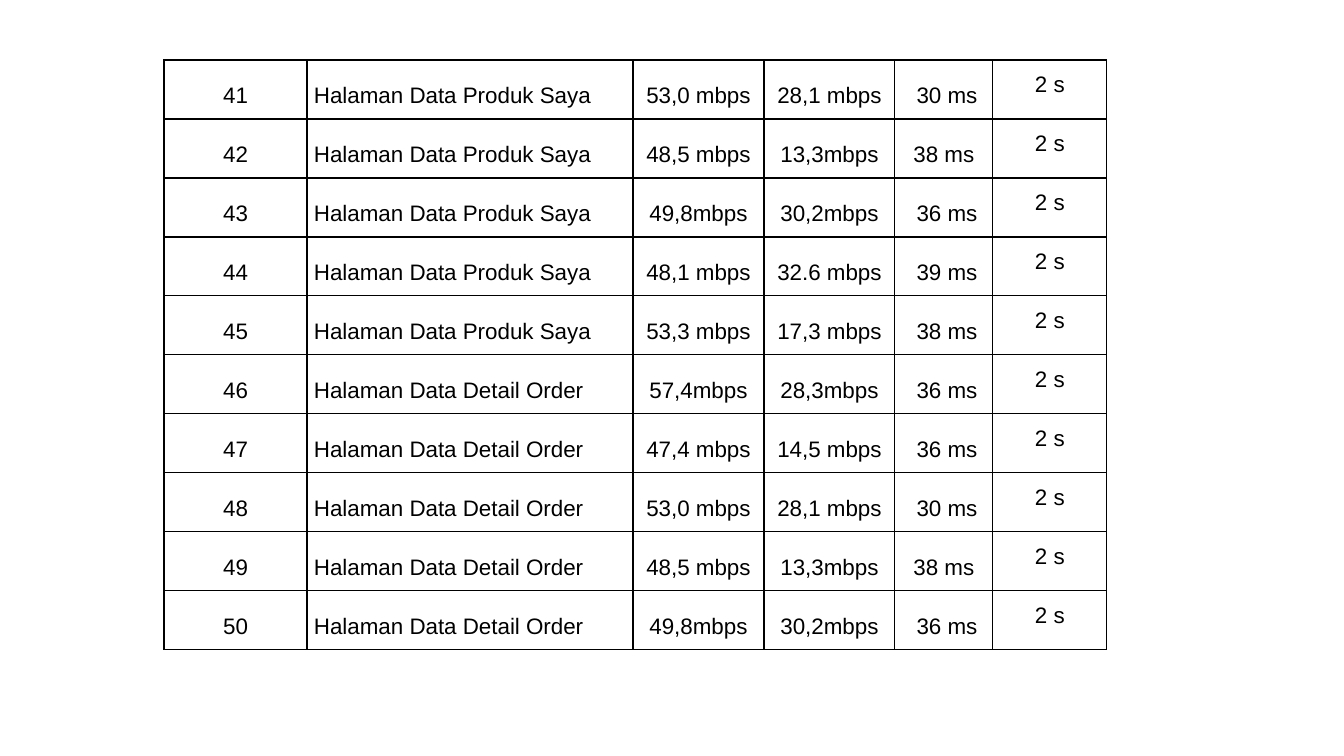
from dataclasses import dataclass

from lxml import etree
from pptx import Presentation
from pptx.dml.color import RGBColor
from pptx.enum import text
from pptx.oxml import ns
from pptx.util import Emu, Pt

PX_PER_INCH = 100.8
BLACK = "000000"
BORDER_PT = 1
FIRST_NUMBER = 41
TABLE_LEFT, TABLE_TOP, ROW_HEIGHT = 164, 60, 59
CELL_FORMAT = {"margin_left": 7, "margin_right": 7, "margin_top": 0, "margin_bottom": 0}


@dataclass(frozen=True)
class Column:
    width: int
    align: text.PP_ALIGN = text.PP_ALIGN.CENTER
    anchor: text.MSO_ANCHOR = text.MSO_ANCHOR.MIDDLE


@dataclass(frozen=True)
class SpeedTest:
    page: str
    download: str
    upload: str
    ping: str
    load_time: str = "2 s"


COLUMNS = [
    Column(143),
    Column(326, align=text.PP_ALIGN.LEFT),
    Column(131),
    Column(131),
    Column(98),
    Column(114, anchor=text.MSO_ANCHOR.TOP),
]

PRODUCTS = "Halaman Data Produk Saya"
ORDERS = "Halaman Data Detail Order"
TESTS = [
    SpeedTest(PRODUCTS, "53,0 mbps", "28,1 mbps", " 30 ms"),
    SpeedTest(PRODUCTS, "48,5 mbps", "13,3mbps", "38 ms"),
    SpeedTest(PRODUCTS, "49,8mbps", "30,2mbps", " 36 ms"),
    SpeedTest(PRODUCTS, "48,1 mbps", "32.6 mbps", " 39 ms"),
    SpeedTest(PRODUCTS, "53,3 mbps", "17,3 mbps", " 38 ms"),
    SpeedTest(ORDERS, "57,4mbps", "28,3mbps", " 36 ms"),
    SpeedTest(ORDERS, "47,4 mbps", "14,5 mbps", " 36 ms"),
    SpeedTest(ORDERS, "53,0 mbps", "28,1 mbps", " 30 ms"),
    SpeedTest(ORDERS, "48,5 mbps", "13,3mbps", "38 ms"),
    SpeedTest(ORDERS, "49,8mbps", "30,2mbps", " 36 ms"),
]


def px(length: int) -> Emu:
    return Emu(round(length * 914400 / PX_PER_INCH))


def color(value: str) -> RGBColor:
    return RGBColor.from_string(value)


def add_borders(cell) -> None:
    properties = cell._tc.get_or_add_tcPr()
    # Border lines come before the fill in the cell properties
    for index, side in enumerate(("lnL", "lnR", "lnT", "lnB")):
        line = etree.Element(ns.qn(f"a:{side}"), w=str(Pt(BORDER_PT)))
        fill = etree.SubElement(line, ns.qn("a:solidFill"))
        etree.SubElement(fill, ns.qn("a:srgbClr"), val=BLACK)
        properties.insert(index, line)


def fill_cell(cell, content: str, column: Column) -> None:
    for name, length in CELL_FORMAT.items():
        setattr(cell, name, px(length))
    cell.vertical_anchor = column.anchor
    cell.fill.background()
    add_borders(cell)

    paragraph = cell.text_frame.paragraphs[0]
    paragraph.alignment = column.align
    paragraph.line_spacing = 1.5
    run = paragraph.add_run()
    run.text = content
    for name, value in {"name": "Arial", "size": Pt(16), "bold": False}.items():
        setattr(run.font, name, value)
    run.font.color.rgb = color(BLACK)


def add_speed_table(slide) -> None:
    width = sum(column.width for column in COLUMNS)
    frame = slide.shapes.add_table(
        len(TESTS), len(COLUMNS),
        px(TABLE_LEFT), px(TABLE_TOP), px(width), px(ROW_HEIGHT * len(TESTS)),
    )
    table = frame.table
    table.first_row = table.horz_banding = False

    for table_column, column in zip(table.columns, COLUMNS):
        table_column.width = px(column.width)

    for row, test in enumerate(TESTS):
        table.rows[row].height = px(ROW_HEIGHT)
        contents = (str(FIRST_NUMBER + row), test.page, test.download,
                    test.upload, test.ping, test.load_time)
        for index, (content, column) in enumerate(zip(contents, COLUMNS)):
            fill_cell(table.cell(row, index), content, column)


def main() -> None:
    presentation = Presentation()
    presentation.slide_width, presentation.slide_height = px(1344), px(756)
    # Blank layout: the slide holds only the table
    slide = presentation.slides.add_slide(presentation.slide_layouts[6])
    add_speed_table(slide)
    presentation.save("out.pptx")


if __name__ == "__main__":
    main()
